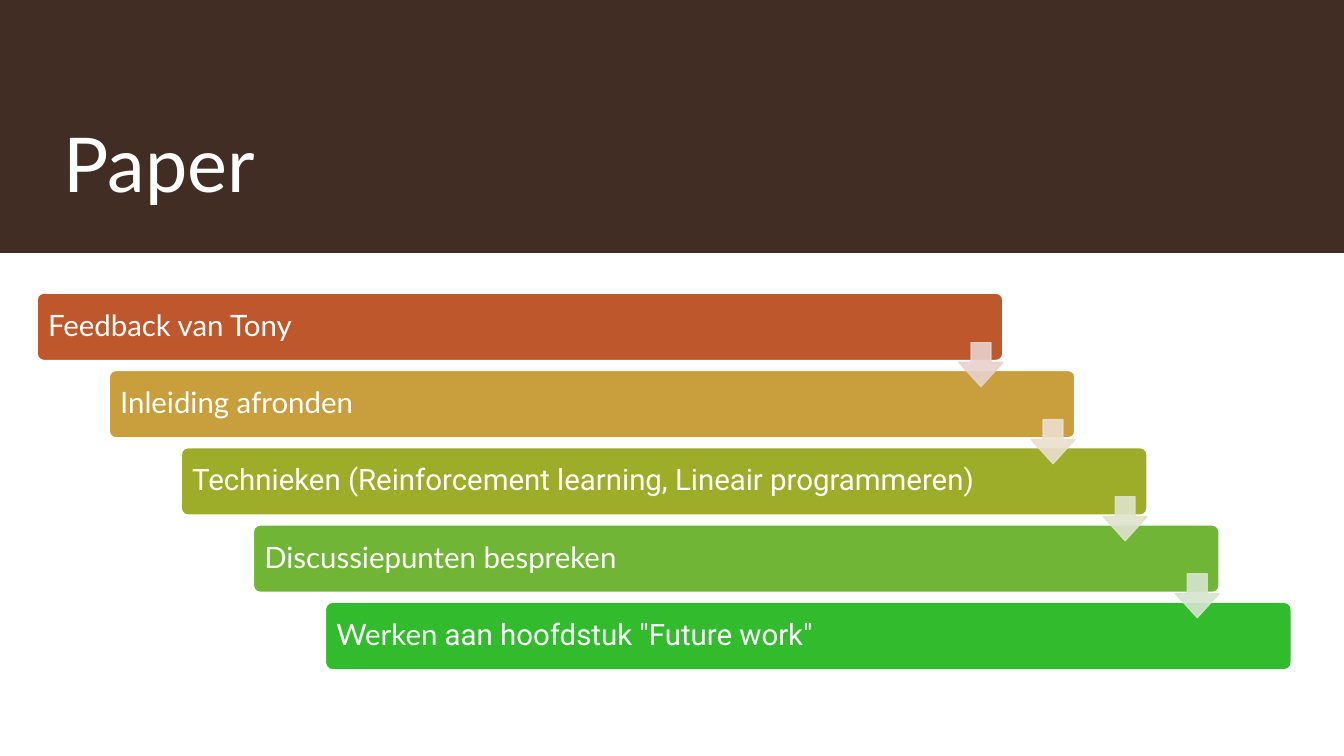
"""Builds the Paper slide: a title band above five staggered steps."""
from lxml import etree
from pptx import Presentation
from pptx.dml.color import RGBColor
from pptx.enum.shapes import MSO_SHAPE
from pptx.enum.text import MSO_ANCHOR, PP_ALIGN
from pptx.oxml.ns import qn
from pptx.util import Pt

RECT, ROUND, DOWN = MSO_SHAPE.RECTANGLE, MSO_SHAPE.ROUNDED_RECTANGLE, MSO_SHAPE.DOWN_ARROW
MIDDLE, BOTTOM, LEFT = MSO_ANCHOR.MIDDLE, MSO_ANCHOR.BOTTOM, PP_ALIGN.LEFT

TITLE = [("Paper", "Lato")]
STEPS = [
    ("BF572D", [("Feedback van Tony", "Lato")]),
    ("C89F3C", [("Inleiding afronden", "Lato")]),
    ("9DAD29", [("Technieken (Reinforcement learning, Lineair programmeren)", "Roboto")]),
    ("71B536", [("Discussiepunten bespreken", "Lato")]),
    ("32BB2C", [("Werken", "Lato"), (' aan hoofdstuk "Future work"', "Roboto")]),
]
ARROWS = ["E8D1CD", "EBDFCE", "DFE3CD", "D5E5CE"]
WHITE, BROWN = "FFFFFF", "412D24"
BAR = (26.5, 209.4, 689.8, 48.2)
ARROW = (685, 244.8, 31.4, 31.4)
STEP_X, BAR_Y, ARROW_Y = 51.5, 55.2, 55


def paint(color, value):
    color.rgb = RGBColor.from_string(value)


def add_box(slide, kind, box, fill, line=None, adjust=()):
    shape = slide.shapes.add_shape(kind, *map(Pt, box))
    shape.shadow.inherit = False
    shape.fill.solid()
    paint(shape.fill.fore_color, fill)
    if line:
        shape.line.width = Pt(1)
        shape.line.fill.solid()
        paint(shape.line.color, line)
    else:
        shape.line.fill.background()
    for i, value in enumerate(adjust):
        shape.adjustments[i] = value
    return shape


def write(shape, parts, size, anchor, inset):
    frame = shape.text_frame
    frame.word_wrap = True
    frame.vertical_anchor = anchor
    frame.margin_left = frame.margin_right = Pt(inset)
    para = frame.paragraphs[0]
    para.alignment = LEFT
    para.line_spacing = 0.9
    para.font.size = Pt(size)
    paint(para.font.color, WHITE)
    for text, font in parts:
        run = para.add_run()
        run.text = text
        run.font.name = font


def fade(shape, percent):
    for color in shape._element.spPr.iter(qn("a:srgbClr")):
        etree.SubElement(color, qn("a:alpha")).set("val", str(percent * 1000))


def shift(box, i, drop):
    left, top, wide, high = box
    return left + i * STEP_X, top + i * drop, wide, high


def main():
    deck = Presentation()
    deck.slide_width, deck.slide_height = Pt(960), Pt(540)
    slide = deck.slides.add_slide(deck.slide_layouts[6])
    add_box(slide, RECT, (0, 0, 960, 180.7), BROWN)
    title = slide.shapes.add_textbox(*map(Pt, (38.2, 28.8, 856, 123.8)))
    write(title, TITLE, 54, BOTTOM, 7.2)
    for i, (fill, parts) in enumerate(STEPS):
        bar = add_box(slide, ROUND, shift(BAR, i, BAR_Y), fill, WHITE, [0.1])
        write(bar, parts, 21, MIDDLE, 6.4)
    for i, fill in enumerate(ARROWS):
        arrow = add_box(slide, DOWN, shift(ARROW, i, ARROW_Y), fill, fill, [0.45, 0.55])
        fade(arrow, 90)
    deck.save("out.pptx")


if __name__ == "__main__":
    main()
